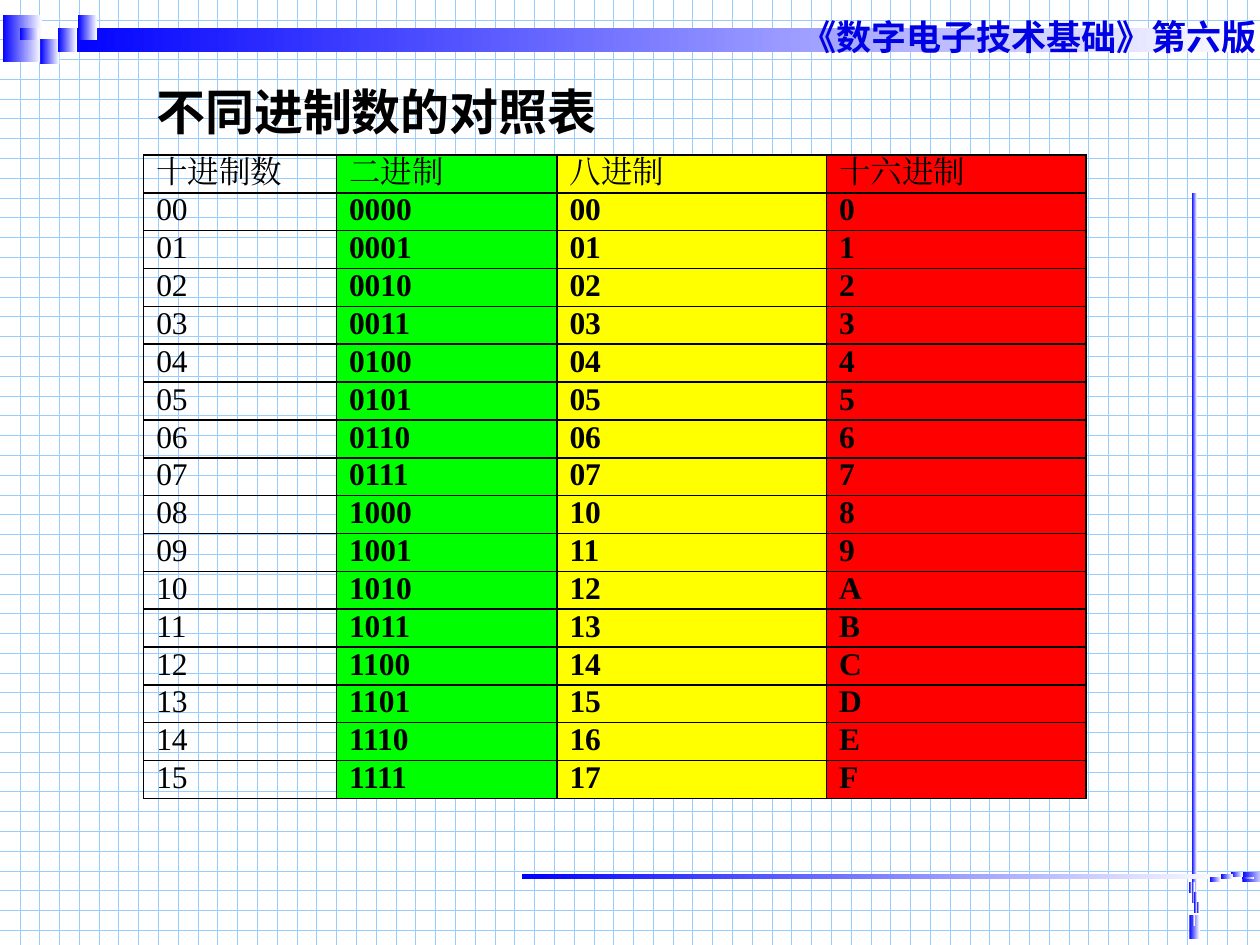
from lxml import etree
from pptx import Presentation
from pptx.dml.color import RGBColor
from pptx.enum.dml import MSO_PATTERN
from pptx.enum.shapes import MSO_SHAPE
from pptx.enum.text import MSO_ANCHOR, MSO_AUTO_SIZE, PP_ALIGN
from pptx.oxml import parse_xml
from pptx.oxml.ns import nsdecls, qn
from pptx.util import Inches, Pt

RECTANGLE = MSO_SHAPE.RECTANGLE
DOT_GRID = MSO_PATTERN.DOTTED_GRID
TOP = MSO_ANCHOR.TOP
LEFT = PP_ALIGN.LEFT
NO_AUTOFIT = MSO_AUTO_SIZE.NONE

# Content
BOOK = "《数字电子技术基础》第六版"
TITLE = "不同进制数的对照表"
# heading, number format, column width, fill, bold digits
COLUMNS = [
    ("十进制数", "02d", 1.53, None, False),
    ("二进制", "04b", 1.75, "00FF00", True),
    ("八进制", "02o", 2.14, "FFFF00", True),
    ("十六进制", "X", 2.06, "FF0000", True),
]
NUMBERS = range(16)

# Ornaments: bars are left, top, width, height; blocks share one size
BARS = [
    (0.02, 0.12, 0.31, 0.37), (0.47, 0.22, 9.53, 0.19),
    (9.44, 7.26, 0.08, 0.19), (9.46, 1.53, 0.04, 5.64),
    (9.86, 6.92, 0.18, 0.08), (4.14, 6.94, 5.64, 0.04),
]
BLOCKS = [
    ((0.15, 0.1), [(0.46, 0.22), (0.62, 0.12), (0.62, 0.22), (0.32, 0.31),
                   (0.16, 0.22), (0.46, 0.31), (0.32, 0.41)]),
    ((0.02, 0.09), [(9.46, 7.08), (9.44, 7), (9.46, 7), (9.48, 7.16),
                    (9.46, 7.26), (9.48, 7.08), (9.5, 7.16)]),
    ((0.09, 0.02), [(9.69, 6.96), (9.6, 6.98), (9.6, 6.96), (9.77, 6.94),
                    (9.86, 6.96), (9.69, 6.94), (9.77, 6.92)]),
]


def color(value):
    return RGBColor.from_string(value)


def write(text_frame, text, size, font, text_color, bold):
    paragraph = text_frame.paragraphs[0]
    paragraph.alignment = LEFT
    run = paragraph.add_run()
    run.text = text
    run.font.size = Pt(size)
    run.font.bold = bold
    run.font.color.rgb = color(text_color)
    run.font.name = font
    properties = run._r.get_or_add_rPr()
    etree.SubElement(properties, qn("a:ea")).set("typeface", font)


def place(shape, left, top, width, height):
    shape.left, shape.top = Inches(left), Inches(top)
    shape.width, shape.height = Inches(width), Inches(height)


def add_gradient_bar(slide, left, top, width, height):
    bar = slide.shapes.add_shape(RECTANGLE, Inches(left), Inches(top),
                                 Inches(width), Inches(height))
    bar.shadow.inherit = False
    bar.line.fill.background()
    bar.fill.gradient()
    bar.fill.gradient_angle = 0
    for stop, stop_color in zip(bar.fill.gradient_stops, ("0000FF", "FFFFFF")):
        stop.color.rgb = color(stop_color)


def add_borders(cell):
    properties = cell._tc.get_or_add_tcPr()
    for index, side in enumerate(("lnL", "lnR", "lnT", "lnB")):
        properties.insert(index, parse_xml(
            f'<a:{side} {nsdecls("a")} w="{Pt(1)}"><a:solidFill>'
            f'<a:srgbClr val="000000"/></a:solidFill></a:{side}>'))


def fill_cell(cell, text, fill, bold):
    cell.margin_left = cell.margin_right = Inches(0.1)
    cell.margin_top = cell.margin_bottom = 0
    if fill:
        cell.fill.solid()
        cell.fill.fore_color.rgb = color(fill)
    else:
        cell.fill.background()
    add_borders(cell)
    write(cell.text_frame, text, 18, "Times New Roman", "000000", bold)


presentation = Presentation()
presentation.slide_width = Inches(10)
presentation.slide_height = Inches(7.5)
slide = presentation.slides.add_slide(presentation.slide_layouts[5])

# Background
background = slide.background.fill
background.patterned()
background.pattern = DOT_GRID
background.fore_color.rgb = color("99CCFF")
background.back_color.rgb = color("FFFFFF")

# Ornaments
for bar in BARS:
    add_gradient_bar(slide, *bar)
for size, corners in BLOCKS:
    for corner in corners:
        add_gradient_bar(slide, *corner, *size)

# Book name
book = slide.shapes.add_textbox(Inches(6.26), Inches(0.07), Inches(4.06), Inches(0.43))
book.text_frame.word_wrap = True
write(book.text_frame, BOOK, 20, "Arial", "0000E5", True)

# Title
title = slide.shapes.title
place(title, 1.14, 0.6, 7.01, 0.57)
title.text_frame.vertical_anchor = TOP
title.text_frame.auto_size = NO_AUTOFIT
write(title.text_frame, TITLE, 28, "Arial", "000000", True)

# Number table
table = slide.shapes.add_table(len(NUMBERS) + 1, len(COLUMNS), Inches(1.14),
                               Inches(1.23), Inches(7.48), Inches(5.11)).table
table.first_row = table.horz_banding = False
for column, (heading, number_format, width, fill, bold) in enumerate(COLUMNS):
    table.columns[column].width = Inches(width)
    fill_cell(table.cell(0, column), heading, fill, False)
    for number in NUMBERS:
        fill_cell(table.cell(number + 1, column), format(number, number_format), fill, bold)

presentation.save("out.pptx")
